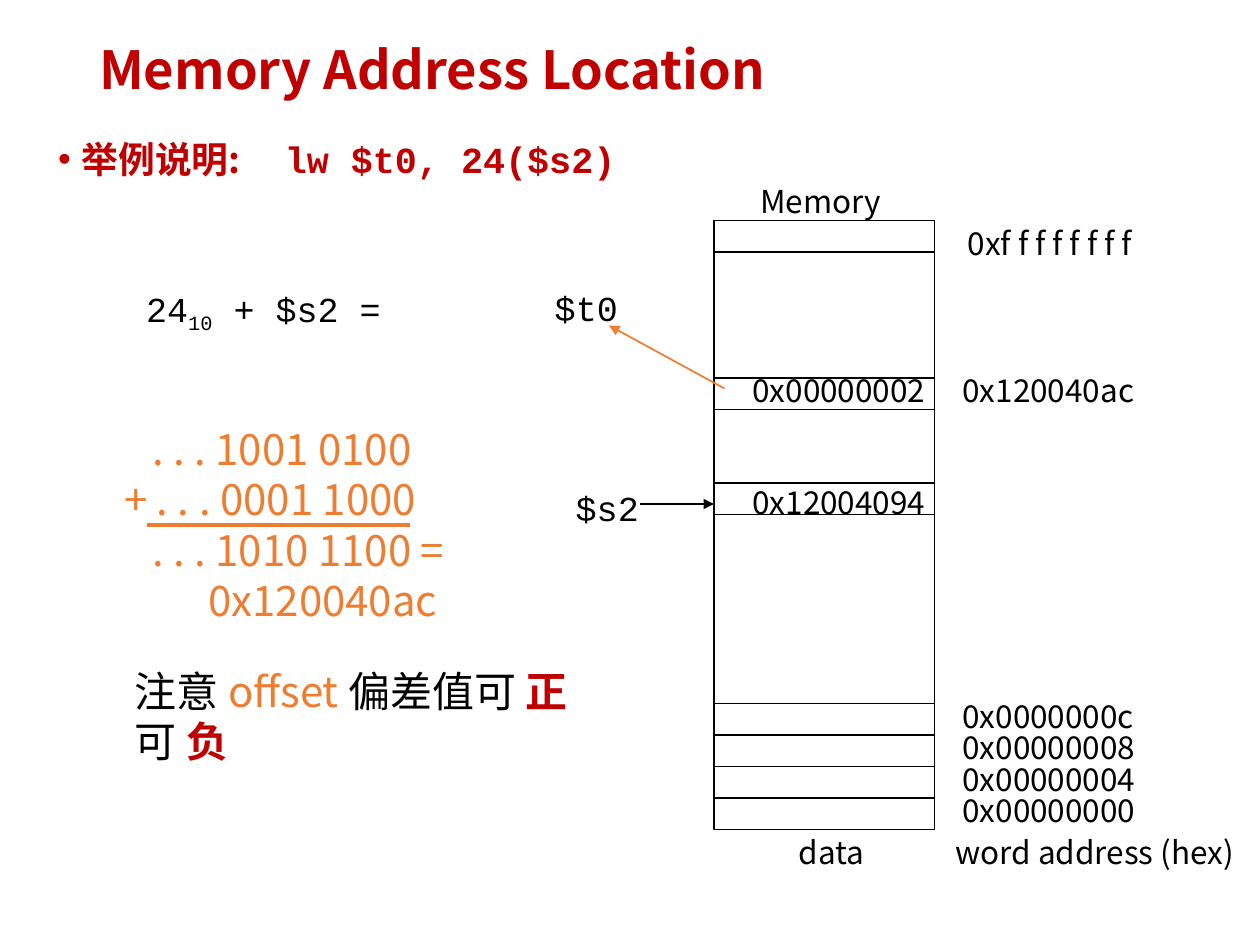
from lxml.etree import SubElement
from pptx import Presentation
from pptx.dml.color import RGBColor
from pptx.enum.shapes import MSO_CONNECTOR as Link, MSO_SHAPE as Shape
from pptx.enum.text import MSO_ANCHOR as Anchor, MSO_AUTO_SIZE as Fit, PP_ALIGN as Align
from pptx.oxml.ns import qn
from pptx.util import Pt

HUES = {"red": "C00000", "orange": "ED7D31", "black": "000000", "white": "FFFFFF"}
SANS, MONO = "Noto Sans CJK SC", "Courier New"
CELL = 18


def hue(name):
    return RGBColor.from_string(HUES[name])


def style(run, size, face=SANS, color="black", bold=False):
    font = run.font
    font.size, font.name, font.bold = Pt(size), face, bold
    font.color.rgb = hue(color)
    SubElement(run._r.get_or_add_rPr(), qn("a:ea"), typeface=face)


def add_run(para, text, size, face=SANS, color="black", bold=False):
    run = para.add_run()
    run.text = text
    style(run, size, face, color, bold)
    return run


def place(shape, box):
    shape.left, shape.top, shape.width, shape.height = map(Pt, box)


def add_box(slide, box, wrap=False):
    frame = slide.shapes.add_textbox(*map(Pt, box)).text_frame
    frame.margin_left = frame.margin_right = Pt(5)
    frame.margin_top = frame.margin_bottom = Pt(2)
    frame.word_wrap = wrap
    frame.auto_size = Fit.SHAPE_TO_FIT_TEXT
    return frame


def add_label(slide, text, box, size=18, face=SANS):
    add_run(add_box(slide, box).paragraphs[0], text, size, face)


def add_line(slide, start, end, color="black", width=1, arrow=False):
    line = slide.shapes.add_connector(Link.STRAIGHT, *map(Pt, start + end))
    line.line.color.rgb = hue(color)
    line.line.width = Pt(width)
    if arrow:
        SubElement(line.line._get_or_add_ln(), qn("a:tailEnd"), type="triangle")
    SubElement(line._element.spPr, qn("a:effectLst"))


def add_title(slide, box):
    title = slide.shapes.title
    place(title, box)
    frame = title.text_frame
    frame.text = "Memory Address Location"
    frame.auto_size = Fit.NONE
    frame.vertical_anchor = Anchor.MIDDLE
    para = frame.paragraphs[0]
    para.alignment, para.line_spacing = Align.LEFT, 0.9
    style(para.runs[0], 30, color="red", bold=True)


def add_list(slide, box):
    body = slide.placeholders[1]
    place(body, box)
    frame = body.text_frame
    frame.auto_size = Fit.NONE
    para = frame.paragraphs[0]
    para.line_spacing, para.space_before = 1.25, Pt(0)
    props = para._p.get_or_add_pPr()
    props.set("marL", str(Pt(13.5)))
    props.set("indent", str(-Pt(13.5)))
    SubElement(SubElement(props, qn("a:buClr")), qn("a:srgbClr"), val=HUES["red"])
    SubElement(props, qn("a:buChar"), char="•")
    add_run(para, "举例说明:", 21, SANS, "red", True)
    gap = add_run(para, " ", 21, MONO, "red", True)
    gap._r.get_or_add_rPr().set("spc", "1260")
    add_run(para, "lw $t0, 24($s2)", 21, MONO, "red", True)


def add_memory(slide, box):
    x, y, w, h = box
    frame = slide.shapes.add_shape(Shape.RECTANGLE, *map(Pt, box))
    frame.shadow.inherit = False
    frame.fill.background()
    frame.line.color.rgb = hue("black")
    frame.line.width = Pt(1)

    low = [h - CELL * n for n in range(1, 5)]
    for row in [CELL, 90, 90 + CELL, 150, 150 + CELL] + low:
        add_line(slide, (x, y + row), (x + w, y + row))

    add_label(slide, "Memory", (x + 21.5, y - 24, 82, 26))
    add_label(slide, "data", (x + 43.5, y + h, 48, 26))
    add_label(slide, "word address (hex)", (x + 133, y + h, 172, 26))
    add_label(slide, "0xf f f f f f f f", (x + 140, y, 113, 26))
    words = ["0x00000000", "0x00000004", "0x00000008", "0x0000000c", "0x120040ac"]
    for word, row in zip(words, low + [90]):
        add_label(slide, word, (x + 137, y + row - 6, 112, 26))
    for word, top in (("0x00000002", 84), ("0x12004094", 148)):
        add_label(slide, word, (x + 17, y + top, 112, 26))


def add_regs(slide, box):
    x, y, w, h = box
    add_label(slide, "$t0", (x, y, 48, 28), 20, MONO)
    add_label(slide, "$s2", (x + 12, y + 114, 48, 28), 20, MONO)
    add_line(slide, (x + 54, y + 126), (x + w, y + 126), arrow=True)
    add_line(slide, (x + w + 6, y + 60), (x + 36, y + 24), "orange", arrow=True)


def add_offset(slide, box):
    para = add_box(slide, box).paragraphs[0]
    add_run(para, "24", 20, MONO)
    small = add_run(para, "10", 20, MONO)
    small._r.get_or_add_rPr().set("baseline", "-25000")
    add_run(para, " + $s2 =", 20, MONO)


def add_sum(slide, box):
    x, y = box[:2]
    frame = add_box(slide, box)
    rows = [(". . . 1001 0100", 16), ("+ . . . 0001 1000", 0),
            (". . . 1010 1100 =", 16), ("0x120040ac", 48)]
    for i, (text, indent) in enumerate(rows):
        para = frame.add_paragraph() if i else frame.paragraphs[0]
        para._p.get_or_add_pPr().set("marL", str(Pt(indent)))
        add_run(para, text, 24, color="orange")
    add_line(slide, (x + 18, y + 60), (x + 168, y + 60), "orange", 2.25)


def add_note(slide, box):
    para = add_box(slide, box, True).paragraphs[0]
    parts = [("注意 ", "black"), ("offset ", "orange"), ("偏差值可 ", "black"),
             ("正 ", "red"), ("可 ", "black"), ("负", "red")]
    for text, color in parts:
        add_run(para, text, 24, SANS, color, color == "red")


def main():
    deck = Presentation()
    deck.slide_width, deck.slide_height = Pt(720), Pt(540)
    slide = deck.slides.add_slide(deck.slide_layouts[1])
    slide.background.fill.solid()
    slide.background.fill.fore_color.rgb = hue("white")
    add_title(slide, (49.5, 28.5, 621, 26))
    add_list(slide, (26, 68.5, 618, 45))
    add_memory(slide, (408, 126, 126, 348))
    add_regs(slide, (312, 162, 96, 142))
    add_offset(slide, (78.5, 162, 150, 32))
    add_sum(slide, (66, 240, 203, 119.5))
    add_note(slide, (72, 378, 276, 62))
    deck.save("out.pptx")


if __name__ == "__main__":
    main()
